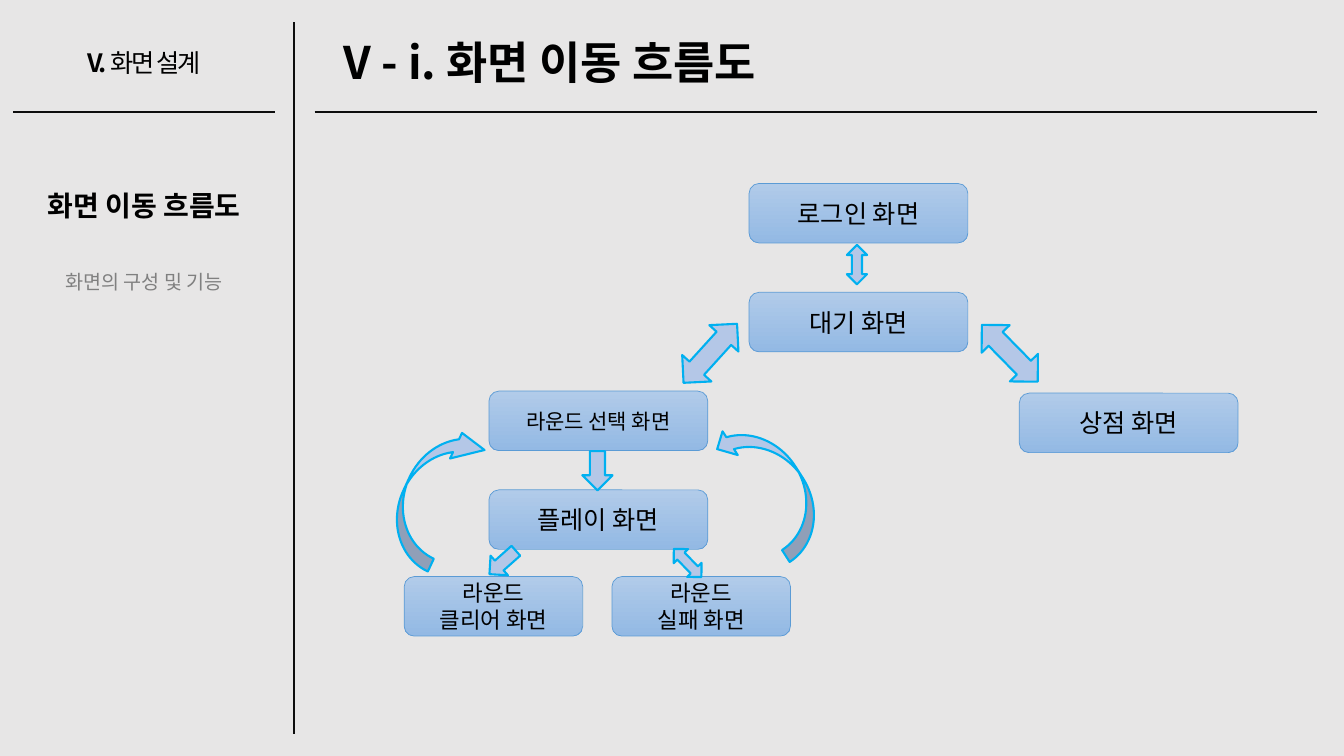
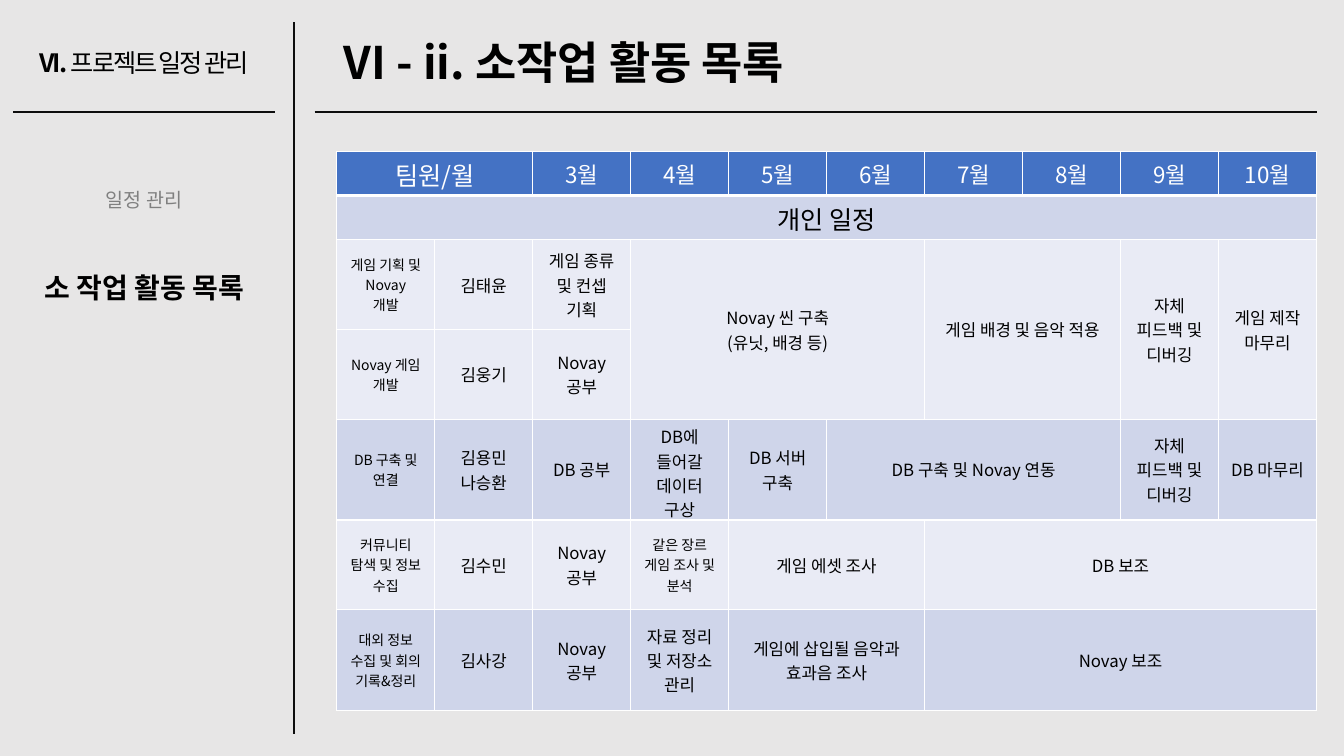
"""Build the screen flow and task schedule slides of a game project plan."""
from lxml import etree
from pptx import Presentation
from pptx.dml.color import RGBColor
from pptx.enum.shapes import MSO_CONNECTOR, MSO_SHAPE
from pptx.enum.text import MSO_ANCHOR, MSO_AUTO_SIZE, PP_ALIGN
from pptx.oxml.ns import qn
from pptx.util import Inches, Pt

STRAIGHT = MSO_CONNECTOR.STRAIGHT
ROUNDED = MSO_SHAPE.ROUNDED_RECTANGLE
BOTH_WAYS = MSO_SHAPE.UP_DOWN_ARROW
ONE_WAY = MSO_SHAPE.RIGHT_ARROW
CURVED_LEFT = MSO_SHAPE.CURVED_LEFT_ARROW
CURVED_RIGHT = MSO_SHAPE.CURVED_RIGHT_ARROW
CENTER, LEFT = PP_ALIGN.CENTER, PP_ALIGN.LEFT
MIDDLE = MSO_ANCHOR.MIDDLE
GROW = MSO_AUTO_SIZE.SHAPE_TO_FIT_TEXT

FONT = "Noto Sans CJK KR"
COLORS = {
    "page": "E7E6E6", "rule": "0D0D0D", "text": "000000", "muted": "808080",
    "box_top": "B1CBE9", "box_bottom": "93B9E4", "box_line": "5B9BD5",
    "arrow": "B4C7E7", "arrow_line": "00B0F0", "white": "FFFFFF",
    "header": "4472C4", "band_dark": "CFD5EA", "band_light": "E9EBF5",
}
SLIDE_W, SLIDE_H = 13.33, 7.5
SIDE_X, SIDE_W = 0.13, 2.6
RULES = [(2.92, 0.22, 2.92, 7.28), (0.13, 1.11, 2.73, 1.11), (3.12, 1.11, 13.06, 1.11)]
MENU_TOP, MENU_STEP = 1.82, 0.81

FLOW = {
    "number": "V. ", "section": "화면 설계", "title": "V - i. 화면 이동 흐름도",
    "menu": ["화면 이동 흐름도", "화면의 구성 및 기능"], "active": 0,
}
SCHEDULE = {
    "number": "VI. ", "section": "프로젝트 일정 관리", "title": "VI - ii. 소작업 활동 목록",
    "menu": ["일정 관리", "소 작업 활동 목록"], "active": 1,
}

BOX_H, WIDE, NARROW = 0.59, 2.17, 1.77
SCREENS = [
    ("로그인 화면", 7.43, 1.82, WIDE, 18),
    ("대기 화면", 7.43, 2.9, WIDE, 18),
    ("라운드 선택 화면", 4.85, 3.88, WIDE, 15),
    ("상점 화면", 10.11, 3.9, WIDE, 18),
    ("플레이 화면", 4.85, 4.86, WIDE, 18),
    ("라운드\n클리어 화면", 4.01, 5.72, NARROW, 16),
    ("라운드\n실패 화면", 6.07, 5.72, NARROW, 16),
]
ARROWS = [
    (BOTH_WAYS, 8.4, 2.43, 0.2, 0.39, 0),
    (BOTH_WAYS, 9.82, 3.11, 0.39, 0.79, 315.5),
    (BOTH_WAYS, 6.85, 3.11, 0.39, 0.79, 42.2),
    (BOTH_WAYS, 6.72, 5.39, 0.2, 0.39, 315.5),
    (CURVED_LEFT, 4.02, 4.15, 0.56, 1.47, 205),
    (CURVED_RIGHT, 7.39, 4.07, 0.56, 1.47, 147.3),
    (ONE_WAY, 4.81, 5.45, 0.35, 0.26, 138.5),
    (ONE_WAY, 5.73, 4.52, 0.39, 0.3, 90),
]
CURVED_LEFT_HEAD = 0.49

TABLE_X, TABLE_Y, TABLE_W = 3.34, 1.5, 9.72
COLUMNS = 10
ROW_HEIGHTS = [0.44, 0.44, 0.89, 0.89, 1, 0.89, 1]
ROW_FILLS = ["header", "band_dark", "band_light", "band_light",
             "band_dark", "band_light", "band_dark"]
MONTHS = [(0, month, f"{month - 1}월", 16, 1, 1) for month in range(4, 11)]
TASKS = [
    (0, 0, "팀원/월", 18, 1, 2),
    *[(0, month - 1, f"{month}월", 16, 1, 1) for month in range(3, 11)],
    (1, 0, "개인 일정", 18, 1, 10),
    (2, 0, "게임 기획 및 Novay\n개발", 10, 1, 1),
    (2, 1, "김태윤", 12, 1, 1),
    (2, 2, "게임 종류 및 컨셉 기획", 12, 1, 1),
    (2, 3, "Novay 씬 구축\n(유닛, 배경 등)", 12, 2, 3),
    (2, 6, "게임 배경 및 음악 적용", 12, 2, 2),
    (2, 8, "자체 피드백 및 디버깅", 12, 2, 1),
    (2, 9, "게임 제작 마무리", 12, 2, 1),
    (3, 0, "Novay 게임 개발", 10, 1, 1),
    (3, 1, "김웅기", 12, 1, 1),
    (3, 2, "Novay 공부", 12, 1, 1),
    (4, 0, "DB 구축 및 연결", 10, 1, 1),
    (4, 1, "김용민\n나승환", 12, 1, 1),
    (4, 2, "DB 공부", 12, 1, 1),
    (4, 3, "DB에 들어갈 데이터 구상", 12, 1, 1),
    (4, 4, "DB 서버 구축", 12, 1, 1),
    (4, 5, "DB 구축 및 Novay 연동", 12, 1, 3),
    (4, 8, "자체 피드백 및 디버깅", 12, 1, 1),
    (4, 9, "DB 마무리", 12, 1, 1),
    (5, 0, "커뮤니티 탐색 및 정보 수집", 10, 1, 1),
    (5, 1, "김수민", 12, 1, 1),
    (5, 2, "Novay 공부", 12, 1, 1),
    (5, 3, "같은 장르 게임 조사 및 분석", 10, 1, 1),
    (5, 4, "게임 에셋 조사", 12, 1, 2),
    (5, 6, "DB 보조", 12, 1, 4),
    (6, 0, "대외 정보 수집 및 회의 기록&정리", 10, 1, 1),
    (6, 1, "김사강", 12, 1, 1),
    (6, 2, "Novay 공부", 12, 1, 1),
    (6, 3, "자료 정리 및 저장소 관리", 12, 1, 1),
    (6, 4, "게임에 삽입될 음악과\n효과음 조사", 12, 1, 2),
    (6, 6, "Novay 보조", 12, 1, 4),
]


def color(name):
    return RGBColor.from_string(COLORS[name])


def inches(*lengths):
    return [Inches(length) for length in lengths]


def add_span(para, text, size, tone="text", bold=False, spacing=None):
    span = para.add_run()
    span.text = text
    span.font.name, span.font.size, span.font.bold = FONT, Pt(size), bold
    span.font.color.rgb = color(tone)
    properties = span._r.get_or_add_rPr()
    etree.SubElement(properties, qn("a:ea")).set("typeface", FONT)
    if spacing is not None:
        properties.set("spc", str(int(spacing * 100)))


def write_lines(frame, text, size, tone="text"):
    frame.word_wrap = True
    for index, line in enumerate(text.split("\n")):
        para = frame.add_paragraph() if index else frame.paragraphs[0]
        para.alignment = CENTER
        add_span(para, line, size, tone)


def add_label(page, place, spans, align=CENTER):
    frame = page.shapes.add_textbox(*inches(*place)).text_frame
    frame.word_wrap, frame.auto_size = True, GROW
    para = frame.paragraphs[0]
    para.alignment = align
    for span in spans:
        add_span(para, *span)


def add_page(deck, content):
    page = deck.slides.add_slide(deck.slide_layouts[6])
    page.background.fill.solid()
    page.background.fill.fore_color.rgb = color("page")
    for ends in RULES:
        rule = page.shapes.add_connector(STRAIGHT, *inches(*ends))
        rule.line.color.rgb, rule.line.width = color("rule"), Pt(1.5)
        etree.SubElement(rule._element.spPr, qn("a:effectLst"))
    add_label(page, (SIDE_X, 0.42, SIDE_W, 0.4),
              [(content["number"], 18, "text", True, -1.5),
               (content["section"], 18, "text", False, -1.5)])
    add_label(page, (3.31, 0.3, 9.56, 0.64), [(content["title"], 32, "text", True)], LEFT)
    for index, item in enumerate(content["menu"]):
        active = index == content["active"]
        style = (20, "text", True) if active else (14, "muted", False)
        place = (SIDE_X, MENU_TOP + index * MENU_STEP, SIDE_W, 0.44 if active else 0.34)
        add_label(page, place, [(item, *style)])
    return page


def add_screen(page, text, left, top, width, size):
    box = page.shapes.add_shape(ROUNDED, *inches(left, top, width, BOX_H))
    box.shadow.inherit = False
    box.fill.gradient()
    box.fill.gradient_angle = 270
    for stop, name in zip(box.fill.gradient_stops, ("box_top", "box_bottom")):
        stop.color.rgb = color(name)
    box.line.color.rgb, box.line.width = color("box_line"), Pt(0.5)
    box.text_frame.vertical_anchor = MIDDLE
    write_lines(box.text_frame, text, size)


def add_arrow(page, kind, left, top, width, height, rotation):
    arrow = page.shapes.add_shape(kind, *inches(left, top, width, height))
    arrow.shadow.inherit = False
    arrow.rotation = rotation
    arrow.fill.solid()
    arrow.fill.fore_color.rgb = color("arrow")
    arrow.line.color.rgb, arrow.line.width = color("arrow_line"), Pt(1.5)
    if kind == CURVED_LEFT:
        arrow.adjustments[2] = CURVED_LEFT_HEAD


def style_cell(cell, row):
    properties = cell._tc.get_or_add_tcPr()
    for side in ("lnL", "lnR", "lnT", "lnB"):
        border = etree.SubElement(properties, qn(f"a:{side}"))
        border.set("w", str(Pt(3 if row == 0 and side == "lnB" else 1)))
        paint = etree.SubElement(border, qn("a:solidFill"))
        etree.SubElement(paint, qn("a:srgbClr")).set("val", COLORS["white"])
    cell.fill.solid()
    cell.fill.fore_color.rgb = color(ROW_FILLS[row])
    cell.vertical_anchor = MIDDLE


def add_schedule(page):
    place = inches(TABLE_X, TABLE_Y, TABLE_W, sum(ROW_HEIGHTS))
    table = page.shapes.add_table(len(ROW_HEIGHTS), COLUMNS, *place).table
    for column in table.columns:
        column.width = Inches(TABLE_W / COLUMNS)
    for row, height in enumerate(ROW_HEIGHTS):
        table.rows[row].height = Inches(height)
        for cell in table.rows[row].cells:
            style_cell(cell, row)
    for row, column, text, size, rows, columns in TASKS:
        cell = table.cell(row, column)
        if rows * columns > 1:
            cell.merge(table.cell(row + rows - 1, column + columns - 1))
        write_lines(cell.text_frame, text, size, "text" if row else "white")


def main():
    deck = Presentation()
    deck.slide_width, deck.slide_height = inches(SLIDE_W, SLIDE_H)
    flow = add_page(deck, FLOW)
    for screen in SCREENS:
        add_screen(flow, *screen)
    for arrow in ARROWS:
        add_arrow(flow, *arrow)
    add_schedule(add_page(deck, SCHEDULE))
    deck.save("out.pptx")


if __name__ == "__main__":
    main()
